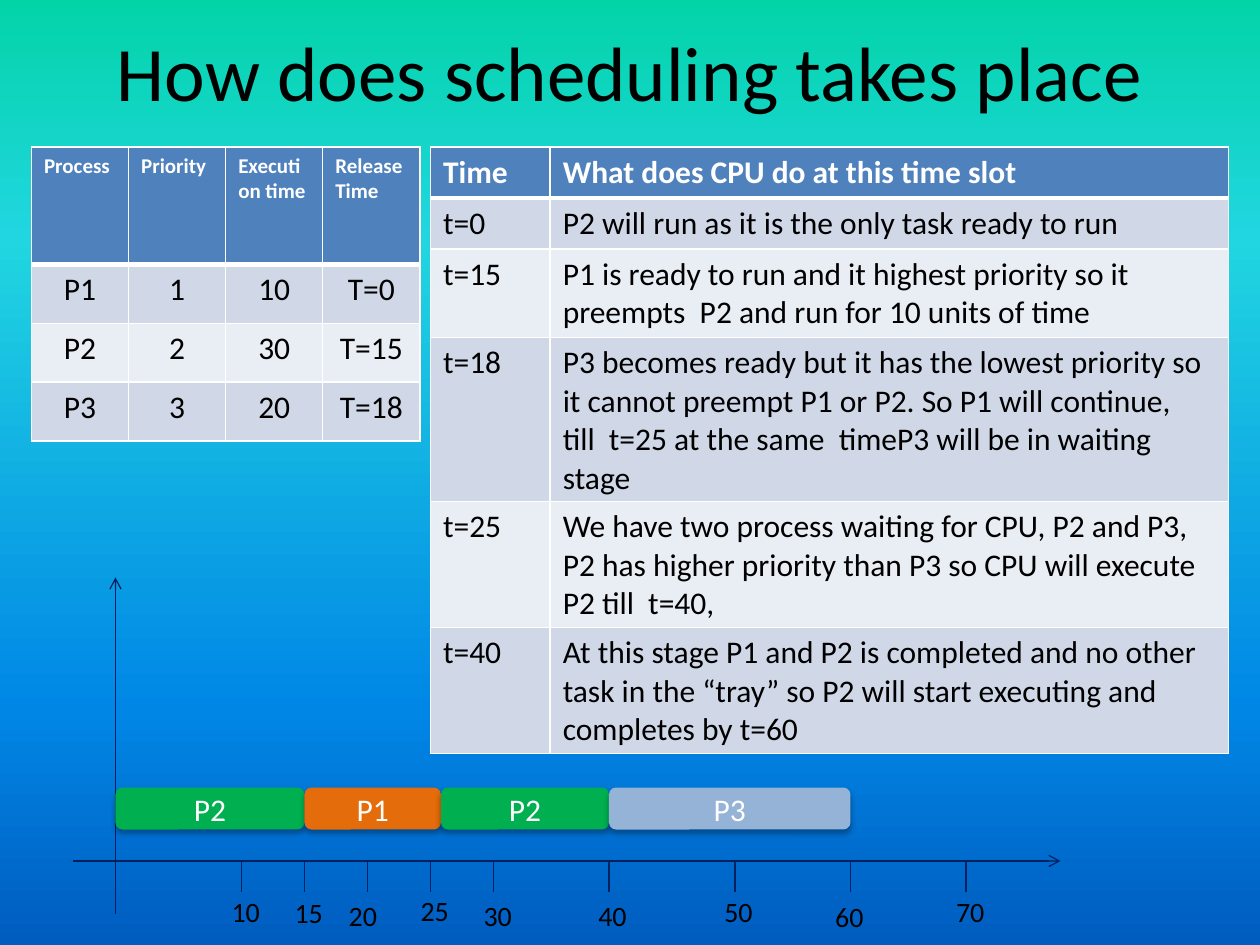
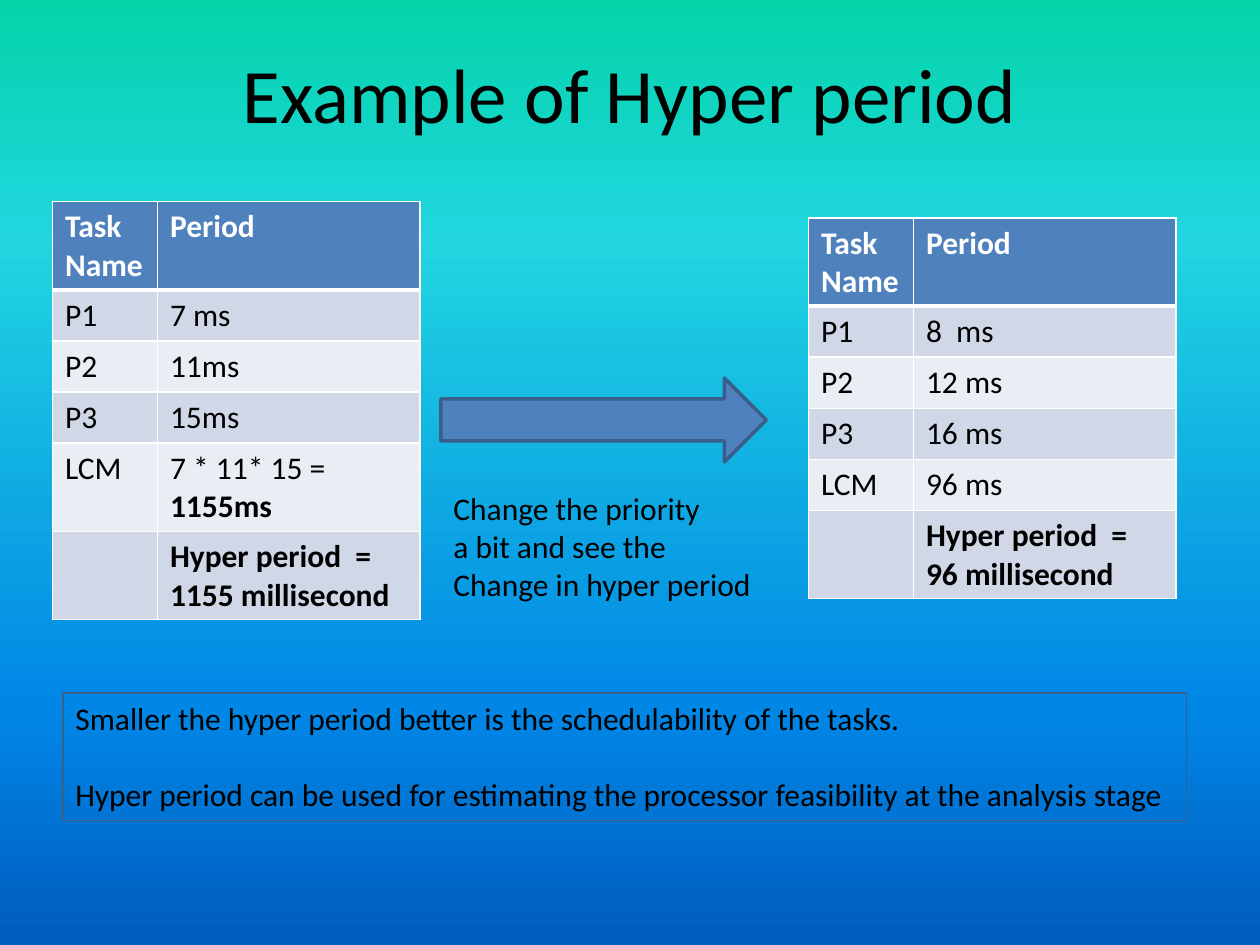
from dataclasses import dataclass
from typing import Any, NamedTuple

from lxml.etree import SubElement
from pptx import Presentation
from pptx.dml.color import RGBColor
from pptx.enum.shapes import MSO_CONNECTOR as Connector, MSO_SHAPE as Preset
from pptx.enum.text import MSO_ANCHOR as Anchor, MSO_AUTO_SIZE as AutoSize, PP_ALIGN as Align
from pptx.oxml.ns import qn
from pptx.util import Pt

# Shared look
FONT = "Calibri"
COLOURS = {
    "black": "000000", "white": "FFFFFF", "axis": "002060",
    "header": "4F81BD", "odd": "D0D8E8", "even": "E9EDF4", "outline": "3A5F8C",
    "green": "00B050", "orange": "E46C0A", "pale": "95B3D7",
}
BACKDROP = ((0, "03D4A8"), (25, "21D6E0"), (75, "0087E6"), (100, "005CBF"))
ROW_HEIGHT = 29.2


class Span(NamedTuple):
    text: str
    bold: bool = False


Cell = str | tuple[Span, ...]


class Frame(NamedTuple):
    left: float
    top: float
    width: float
    height: float


@dataclass
class Grid:
    frame: Frame
    columns: list[float]
    heights: list[float]
    rows: list[tuple[Cell, ...]]
    header_size: float = 18
    body_align: Align = Align.LEFT


class Tick(NamedTuple):
    label: str
    x: float
    label_left: float
    label_top: float


class Bar(NamedTuple):
    process: str
    start: float
    end: float
    fill: str


def rgb(name: str) -> RGBColor:
    return RGBColor.from_string(COLOURS[name])


def apply(target: Any, values: dict[str, Any]) -> None:
    for name, value in values.items():
        setattr(target, name, value)


def points(values: tuple[float, ...]) -> list[Pt]:
    return [Pt(value) for value in values]


def write(para: Any, content: Cell, size: float, colour: str = "black",
          bold: bool = False, align: Align = Align.LEFT) -> None:
    """Fill one paragraph with its spans."""
    para.alignment = align
    spans = (Span(content, bold),) if isinstance(content, str) else content
    for span in spans:
        run = para.add_run()
        run.text = span.text
        apply(run.font, {"name": FONT, "size": Pt(size), "bold": span.bold})
        run.font.color.rgb = rgb(colour)


def add_lines(box: Any, lines: list[str], size: float, space_before: float = 0) -> None:
    text = box.text_frame
    for index, line in enumerate(lines):
        para = text.add_paragraph() if index else text.paragraphs[0]
        write(para, line, size)
        if index:
            para.space_before = Pt(space_before)


def add_page(deck: Any, title: str, frame: Frame) -> Any:
    """Blank page with the gradient backdrop and a centred title."""
    page = deck.slides.add_slide(deck.slide_layouts[6])
    fill = page.background.fill
    fill.gradient()
    fill.gradient_angle = 270
    stops = page.element.find(".//" + qn("a:gsLst"))
    for stop in list(stops):
        stops.remove(stop)
    for position, colour in BACKDROP:
        stop = SubElement(stops, qn("a:gs"), pos=str(position * 1000))
        SubElement(stop, qn("a:srgbClr"), val=colour)

    box = page.shapes.add_textbox(*points(frame))
    apply(box.text_frame, {"word_wrap": True, "vertical_anchor": Anchor.MIDDLE})
    write(box.text_frame.paragraphs[0], title, 44, align=Align.CENTER)
    return page


def add_label(page: Any, frame: Frame, lines: list[str], size: float) -> None:
    box = page.shapes.add_textbox(*points(frame))
    apply(box.text_frame, {"word_wrap": False, "auto_size": AutoSize.SHAPE_TO_FIT_TEXT})
    add_lines(box, lines, size)


def add_borders(cell: Any, widths: dict[str, float]) -> None:
    properties = cell._tc.get_or_add_tcPr()
    for side, width in widths.items():
        edge = SubElement(properties, qn(f"a:ln{side}"), w=str(Pt(width)))
        paint = SubElement(edge, qn("a:solidFill"))
        SubElement(paint, qn("a:srgbClr"), val=COLOURS["white"])


def add_grid(page: Any, grid: Grid) -> None:
    """Table with a header row and banded body rows."""
    table = page.shapes.add_table(
        len(grid.rows), len(grid.columns), *points(grid.frame)).table
    for column, width in zip(table.columns, grid.columns):
        column.width = Pt(width)
    for row, height in zip(table.rows, grid.heights):
        row.height = Pt(height)
    for r, row in enumerate(grid.rows):
        is_header = r == 0
        fill = "header" if is_header else ("odd" if r % 2 else "even")
        for c, content in enumerate(row):
            cell = table.cell(r, c)
            add_borders(cell, {"L": 1, "R": 1, "T": 3 if r == 1 else 1,
                               "B": 3 if is_header else 1})
            cell.fill.solid()
            cell.fill.fore_color.rgb = rgb(fill)
            para = cell.text_frame.paragraphs[0]
            if is_header:
                write(para, content, grid.header_size, "white", bold=True)
            elif content:
                write(para, content, 18, align=grid.body_align)


def add_line(page: Any, start: tuple[float, float], end: tuple[float, float],
             arrow: bool = False) -> None:
    line = page.shapes.add_connector(Connector.STRAIGHT, *points(start + end))
    line.line.color.rgb = rgb("axis")
    line.line.width = Pt(0.75)
    properties = line.element.spPr
    if arrow:
        SubElement(properties.find(qn("a:ln")), qn("a:tailEnd"), type="arrow")
    SubElement(properties, qn("a:effectLst"))


def add_shape(page: Any, preset: Preset, frame: Frame, fill: str | None = None,
              outline: str | None = None, width: float = 0.75) -> Any:
    shape = page.shapes.add_shape(preset, *points(frame))
    shape.shadow.inherit = False
    for paint, colour in ((shape.fill, fill), (shape.line.fill, outline)):
        if colour:
            paint.solid()
            paint.fore_color.rgb = rgb(colour)
        else:
            paint.background()
    if outline:
        shape.line.width = Pt(width)
    return shape


def add_bar(page: Any, bar: Bar) -> None:
    """Rounded bar with a soft shadow below it."""
    frame = Frame(bar.start, 450, bar.end - bar.start, 24)
    shape = add_shape(page, Preset.ROUNDED_RECTANGLE, frame, bar.fill)
    effects = shape.element.spPr.find(qn("a:effectLst"))
    shadow = SubElement(effects, qn("a:outerShdw"), blurRad=str(Pt(3.5)),
                        dist=str(Pt(2.2)), dir="5400000", rotWithShape="0")
    colour = SubElement(shadow, qn("a:srgbClr"), val=COLOURS["black"])
    SubElement(colour, qn("a:alpha"), val="32000")
    shape.text_frame.vertical_anchor = Anchor.MIDDLE
    write(shape.text_frame.paragraphs[0], bar.process, 18, "white", align=Align.CENTER)


# Scheduling page
PROCESSES = Grid(
    Frame(18, 84, 222, 168), [55.5] * 4, [67.2] + [33.6] * 3,
    [("Process", "Priority", "Execution time", "Release Time"),
     ("P1", "1", "10", "T=0"),
     ("P2", "2", "30", "T=15"),
     ("P3", "3", "20", "T=18")],
    header_size=12, body_align=Align.CENTER)

TIME_SLOTS = Grid(
    Frame(246, 84, 456, 346.3), [68.4, 387.6], [ROW_HEIGHT] * 6,
    [("Time", "What does CPU do at this time slot"),
     ("t=0", "P2 will run as it is the only task ready to run"),
     ("t=15", "P1 is ready to run and it highest priority so it preempts  P2 "
              "and run for 10 units of time"),
     ("t=18", "P3 becomes ready but it has the lowest priority so it cannot preempt "
              "P1 or P2. So P1 will continue,  till  t=25 at the same  timeP3 will be "
              "in waiting stage"),
     ("t=25", "We have two process waiting for CPU, P2 and P3, P2 has higher priority "
              "than P3 so CPU will execute P2 till  t=40,"),
     ("t=40", "At this stage P1 and P2 is completed and no other task in the “tray” "
              "so P2 will start executing and completes by t=60")])

AXIS_X, AXIS_Y, TICK_LENGTH = 66, 492, 18
TICKS = [
    Tick("10", 138, 125.3, 507.6), Tick("15", 174, 161.3, 508.4),
    Tick("20", 210, 192.2, 510), Tick("25", 246, 233.3, 506.8),
    Tick("30", 282, 269.3, 510), Tick("40", 348, 334.8, 510),
    Tick("50", 420, 406.8, 507.6), Tick("60", 486, 470.2, 510.5),
    Tick("70", 552, 539.3, 507.6),
]
BARS = [Bar("P2", AXIS_X, 174, "green"), Bar("P1", 174, 252, "orange"),
        Bar("P2", 252, 348, "green"), Bar("P3", 348, 486, "pale")]


def build_scheduling(deck: Any) -> None:
    page = add_page(deck, "How does scheduling takes place", Frame(36, 3.6, 648, 74.2))
    add_grid(page, PROCESSES)
    add_grid(page, TIME_SLOTS)
    add_line(page, (AXIS_X, 522), (AXIS_X, 330), arrow=True)
    add_line(page, (42, AXIS_Y), (606, AXIS_Y), arrow=True)
    for tick in TICKS:
        add_line(page, (tick.x, AXIS_Y), (tick.x, AXIS_Y + TICK_LENGTH))
        add_label(page, Frame(tick.label_left, tick.label_top, 31, 26.6), [tick.label], 16)
    for bar in BARS:
        add_bar(page, bar)


# Hyper period page
def period_grid(frame: Frame, periods: list[Cell], result: str) -> Grid:
    names = ["P1", "P2", "P3", "LCM", ""]
    values = periods + [(Span(result, True),)]
    return Grid(frame, [60, 150], [ROW_HEIGHT] * 6,
                [("Task Name", "Period"), *zip(names, values)])


PERIODS_BEFORE = period_grid(
    Frame(30, 115.2, 210, 239),
    ["7 ms", "11ms", "15ms", (Span("7 * 11* 15 = "), Span("1155ms", True))],
    "Hyper period  = 1155 millisecond")
PERIODS_AFTER = period_grid(
    Frame(462, 124.5, 210, 217.4), ["8  ms", "12 ms", "16 ms", "96 ms"],
    "Hyper period  = 96 millisecond")


def build_hyper_period(deck: Any) -> None:
    page = add_page(deck, "Example of Hyper period", Frame(36, 21.6, 648, 62.6))
    add_grid(page, PERIODS_BEFORE)
    add_grid(page, PERIODS_AFTER)
    add_shape(page, Preset.RIGHT_ARROW, Frame(252, 216, 186, 48), "header", "outline", 2)
    add_label(page, Frame(252, 276, 186.5, 72.7),
              ["Change the priority", "a bit and see the", "Change in hyper period"], 18)
    note = add_shape(page, Preset.RECTANGLE, Frame(36, 396, 642, 72.7), outline="outline")
    apply(note.text_frame, {"word_wrap": True, "vertical_anchor": Anchor.TOP})
    add_lines(note, [
        "Smaller the hyper period better is the schedulability of the tasks.",
        "Hyper period can be used for estimating the processor feasibility "
        "at the analysis stage"], 18, space_before=22)


def main() -> None:
    deck = Presentation()
    apply(deck, {"slide_width": Pt(720), "slide_height": Pt(540)})
    build_scheduling(deck)
    build_hyper_period(deck)
    deck.save("out.pptx")


if __name__ == "__main__":
    main()
